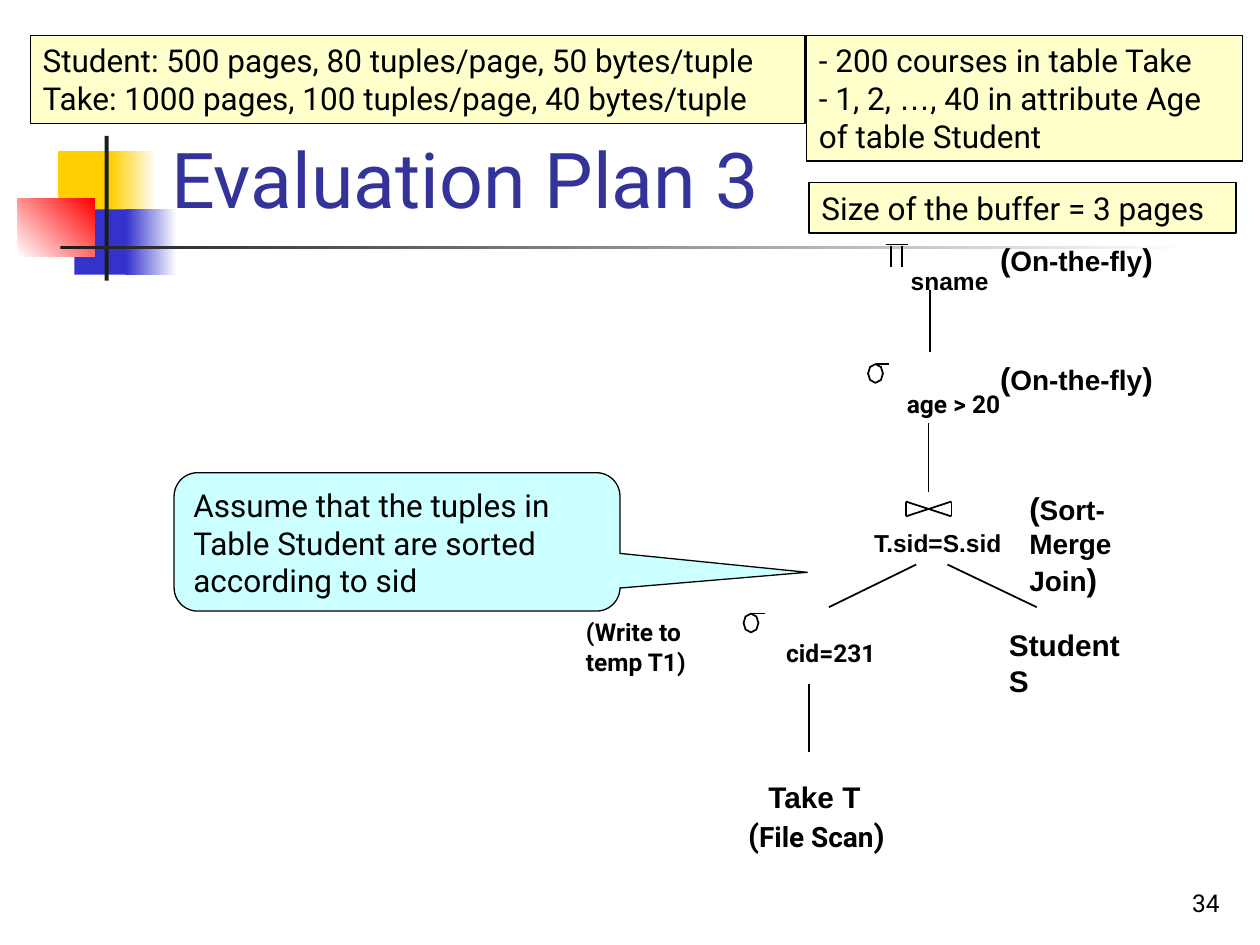
from pptx import Presentation
from pptx.dml.color import RGBColor
from pptx.enum.shapes import MSO_CONNECTOR as Connector, MSO_SHAPE as Shape
from pptx.enum.text import MSO_ANCHOR as Anchor, PP_ALIGN as Align
from pptx.oxml.xmlchemy import OxmlElement
from pptx.util import Cm, Pt

THEME = {
    "black": "000000", "white": "FFFFFF", "title": "333399",
    "yellow": "FFCF01", "blue": "3333CC", "red": "FF0000", "bar": "1C1C1C",
    "note": "FFFFCC", "callout": "CCFFFF",
    "title_size": 44, "body": 18, "relation": 17, "label": 16, "small": 14,
    "roboto": "Roboto", "arial": "Arial",
    "thin": 0.74, "stroke": 0.99,
}


def color(name):
    return RGBColor.from_string(THEME[name])


def write(box, paragraphs, ink="black", bold=False, wrap=True, anchor=Anchor.TOP, align=Align.LEFT):
    frame = box.text_frame
    frame.word_wrap = wrap
    frame.vertical_anchor = anchor
    for index, runs in enumerate(paragraphs):
        para = frame.add_paragraph() if index else frame.paragraphs[0]
        para.alignment = align
        for text, size, face in runs:
            span = para.add_run()
            span.text = text
            span.font.size = Pt(THEME[size])
            span.font.name = THEME[face]
            span.font.bold = bold
            span.font.color.rgb = color(ink)


deck = Presentation()
deck.slide_width, deck.slide_height = Cm(25.4), Cm(19.05)
page = deck.slides.add_slide(deck.slide_layouts[6])
shapes = page.shapes

ornaments = [
    (1.17, 3.05, 1.22, 1.32, ["yellow"], 0),
    (2.24, 3.05, 0.91, 1.32, ["yellow", "white"], 0),
    (1.5, 4.22, 1.17, 1.32, ["blue"], 0),
    (2.54, 4.22, 1.02, 1.32, ["blue", "white"], 0),
    (0.36, 4.01, 1.55, 1.17, ["white", "red"], 45),
    (2.11, 2.74, 0.08, 2.92, ["bar"], 0),
    (1.22, 4.95, 22.86, 0.08, ["bar", "white"], 0),
]
for left, top, width, height, hues, angle in ornaments:
    block = shapes.add_shape(Shape.RECTANGLE, Cm(left), Cm(top), Cm(width), Cm(height))
    block.shadow.inherit = False
    block.line.fill.background()
    if len(hues) == 1:
        block.fill.solid()
        block.fill.fore_color.rgb = color(hues[0])
    else:
        block.fill.gradient()
        block.fill.gradient_angle = angle
        for stop, hue, position in zip(block.fill.gradient_stops, hues, (0, 1)):
            stop.color.rgb = color(hue)
            stop.position = position

number = shapes.add_textbox(Cm(19.56), Cm(17.35), Cm(5.28), Cm(1.27))
write(number, [[("34", "small", "roboto")]], anchor=Anchor.BOTTOM, align=Align.RIGHT)
title = shapes.add_textbox(Cm(3.2), Cm(0.58), Cm(21.64), Cm(4.06))
write(title, [[("Evaluation Plan 3", "title_size", "roboto")]], ink="title", anchor=Anchor.BOTTOM)

projection = [
    (17.96, 4.95, 17.96, 5.38),
    (18.19, 4.95, 18.19, 5.38),
    (17.86, 4.93, 18.31, 4.93),
]
bowtie = [
    (18.26, 10.11, 18.26, 10.41),
    (19.18, 10.11, 19.18, 10.41),
    (18.26, 10.11, 19.18, 10.41),
    (18.26, 10.41, 19.18, 10.11),
]
branches = [
    (16.71, 12.24, 18.47, 11.38),
    (19.1, 11.38, 20.9, 12.24),
    (16.31, 13.79, 16.31, 15.16),
    (18.75, 5.84, 18.75, 7.09),
    (18.72, 8.53, 18.72, 9.91),
]
selections = [(14.99, 12.37), (17.5, 7.34)]
selection_bars = [(x + 0.15, y, x + 0.43, y) for x, y in selections]

for ends in projection + bowtie + branches + selection_bars:
    edge = shapes.add_connector(Connector.STRAIGHT, *[Cm(value) for value in ends])
    edge.line.color.rgb = color("black")
    edge.line.width = Pt(THEME["stroke"])
    edge._element.spPr.append(OxmlElement("a:effectLst"))

ring = [(0.3, 0.19), (0.26, 0.06), (0.15, 0), (0.04, 0.06),
        (0, 0.19), (0.04, 0.32), (0.15, 0.38), (0.26, 0.32)]
for left, top in selections:
    points = [(Cm(left + x), Cm(top + y)) for x, y in ring]
    builder = shapes.build_freeform(*points[0])
    builder.add_line_segments(points[1:], close=True)
    sigma = builder.convert_to_shape()
    sigma.shadow.inherit = False
    sigma.fill.background()
    sigma.line.color.rgb = color("black")
    sigma.line.width = Pt(THEME["stroke"])

on_the_fly = [[("(", "body", "arial"), ("On-the-fly", "label", "arial"), (")", "body", "arial")]]
file_scan = [[("(", "body", "roboto"), ("File Scan", "label", "roboto"), (")", "body", "roboto")]]
sort_merge = [
    [("(", "body", "arial"), ("Sort-Merge", "label", "arial")],
    [("Join", "label", "arial"), (")", "body", "arial")],
]
write_temp = [[("(Write to ", "small", "roboto")], [("temp T1)", "small", "roboto")]]
labels = [
    (15.24, 15.57, 2.41, 0.97, [[("Take T", "relation", "arial")]]),
    (20.09, 12.52, 3.3, 0.97, [[("Student S", "relation", "arial")]]),
    (17.37, 10.52, 3.12, 0.84, [[("T.sid=S.sid", "small", "arial")]]),
    (18.03, 7.72, 2.64, 0.84, [[("age > 20 ", "small", "roboto")]]),
    (18.11, 5.23, 2.08, 0.84, [[("sname", "small", "arial")]]),
    (15.6, 12.73, 2.36, 0.84, [[("cid=231", "small", "roboto")]]),
    (14.83, 16.33, 3.38, 1.02, file_scan),
    (11.56, 12.32, 2.82, 1.45, write_temp),
    (20.5, 9.73, 3.68, 1.78, sort_merge),
    (19.91, 7.11, 3.58, 1.02, on_the_fly),
    (19.91, 4.72, 3.58, 1.02, on_the_fly),
]
for left, top, width, height, paragraphs in labels:
    label = shapes.add_textbox(Cm(left), Cm(top), Cm(width), Cm(height))
    write(label, paragraphs, bold=True, wrap=False)

table_sizes = [
    [("Student: 500 pages, 80 tuples/page, 50 bytes/tuple", "body", "roboto")],
    [("Take: 1000 pages, 100 tuples/page, 40 bytes/tuple", "body", "roboto")],
]
value_counts = [
    [("- 200 courses in table Take", "body", "roboto")],
    [("- 1, 2, ", "body", "roboto"), ("…", "body", "arial"), (", 40 in attribute Age", "body", "roboto")],
    [("of table Student", "body", "roboto")],
]
buffer_size = [[("Size of the buffer = 3 pages", "body", "roboto")]]
assumption = [
    [("Assume that the tuples in Table Student are sorted ", "body", "roboto")],
    [("according to sid", "body", "roboto")],
]
panels = [
    (Shape.RECTANGLE, 0.61, 0.71, 15.62, 1.78, "note", table_sizes),
    (Shape.RECTANGLE, 16.26, 0.71, 8.79, 2.54, "note", value_counts),
    (Shape.RECTANGLE, 16.31, 3.68, 8.61, 1.02, "note", buffer_size),
    (Shape.ROUNDED_RECTANGULAR_CALLOUT, 3.51, 9.53, 8.99, 2.79, "callout", assumption),
]
for kind, left, top, width, height, tint, paragraphs in panels:
    panel = shapes.add_shape(kind, Cm(left), Cm(top), Cm(width), Cm(height))
    panel.shadow.inherit = False
    panel.fill.solid()
    panel.fill.fore_color.rgb = color(tint)
    panel.line.color.rgb = color("black")
    panel.line.width = Pt(THEME["thin"])
    if kind == Shape.ROUNDED_RECTANGULAR_CALLOUT:
        for index, value in enumerate((0.92, 0.22, 0.17)):
            panel.adjustments[index] = value
    write(panel, paragraphs)

deck.save("out.pptx")
